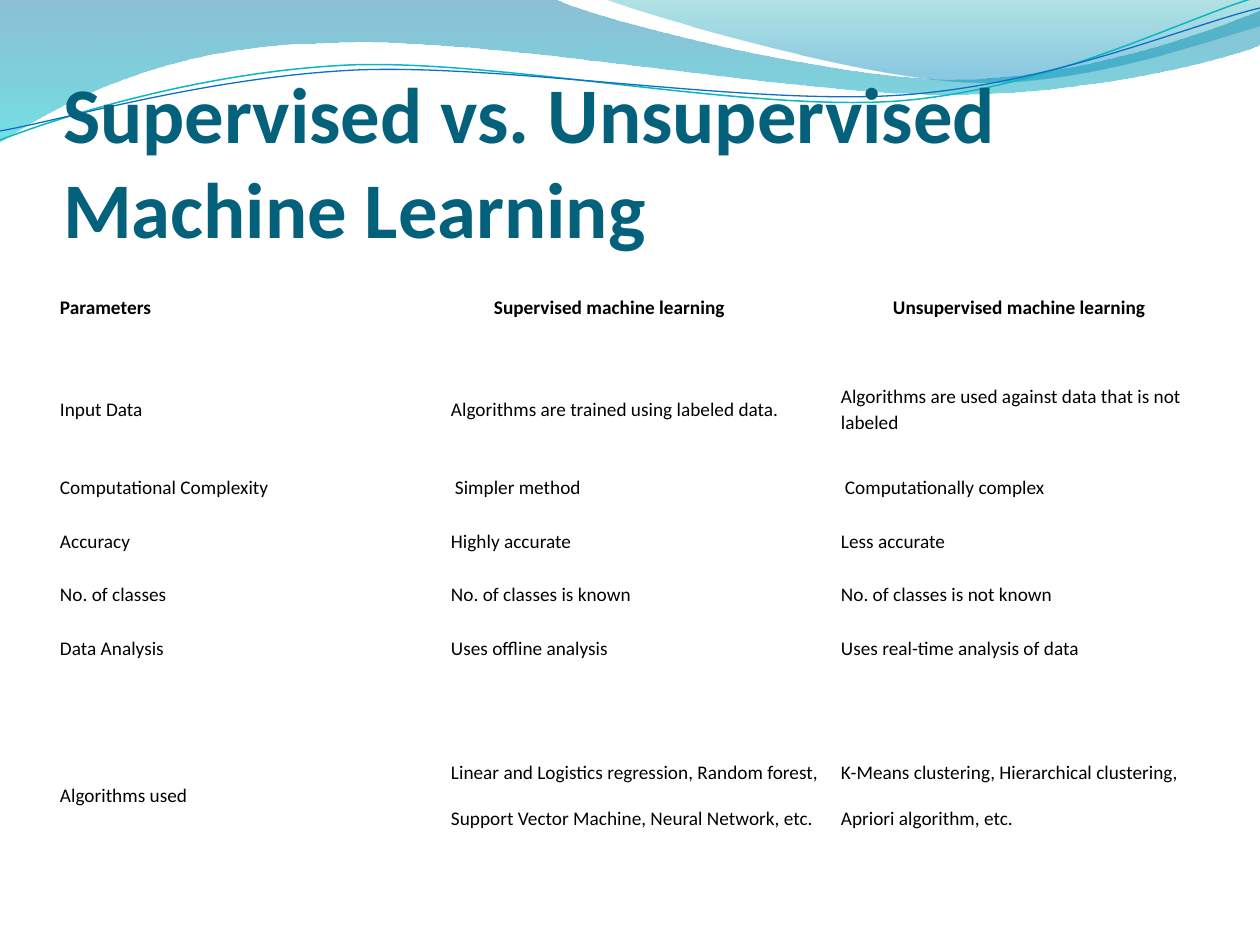
import pptx
import pptx.util
import pptx.dml.color
import pptx.enum.text
import pptx.oxml.ns
import lxml.etree

ANCHOR = pptx.enum.text.MSO_ANCHOR
WIDTH, HEIGHT = 1260, 945
qn = pptx.oxml.ns.qn


def px(n):
    return pptx.util.Emu(round(n * 914400 / 126))


def rgb(value):
    return pptx.dml.color.RGBColor.from_string(value)


class Deck:
    font = "Calibri"
    title_color = "04617B"
    text_color = "000000"

    def __init__(self):
        self.prs = pptx.Presentation()
        self.prs.slide_width, self.prs.slide_height = px(WIDTH), px(HEIGHT)
        self.s = self.prs.slides.add_slide(self.prs.slide_layouts[5])

    def run(self, p, text, size, color, bold=False):
        r = p.add_run()
        r.text = text
        r.font.name, r.font.size, r.font.bold = self.font, pptx.util.Pt(size), bold
        r.font.color.rgb = rgb(color)

    def outline(self, start, segments, close):
        fb = self.s.shapes.build_freeform(px(start[0]), px(start[1]), scale=1.0)
        fb.add_line_segments([(px(x), px(y)) for seg in segments for x, y in seg], close=close)
        sp = fb.convert_to_shape()
        sp.shadow.inherit = False
        steps = iter(list(sp.element.spPr.iter(qn("a:lnTo"))))
        for seg in segments:
            group = [next(steps) for _ in seg]
            if len(group) == 3:
                bezier = lxml.etree.Element(qn("a:cubicBezTo"))
                group[0].addprevious(bezier)
                for step in group:
                    bezier.append(step[0])
                    step.getparent().remove(step)
        return sp

    def wave(self, start, segments, stops):
        sp = self.outline(start, segments, True)
        sp.line.fill.background()
        sp.fill.gradient()
        sp.fill.gradient_angle = 270
        for stop, (position, color, _) in zip(sp.fill.gradient_stops, stops):
            stop.position = position
            stop.color.rgb = rgb(color)
        for clr, (_, _, opacity) in zip(sp.element.spPr.iter(qn("a:srgbClr")), stops):
            lxml.etree.SubElement(clr, qn("a:alpha")).set("val", str(opacity * 1000))

    def curve(self, start, segments, color, width):
        sp = self.outline(start, segments, False)
        sp.fill.background()
        sp.line.color.rgb = rgb(color)
        sp.line.width = pptx.util.Pt(width)

    def title(self, text, x, y, w, h):
        sp = self.s.shapes.title
        sp.element.getparent().append(sp.element)
        sp.left, sp.top, sp.width, sp.height = px(x), px(y), px(w), px(h)
        tf = sp.text_frame
        tf.word_wrap = True
        tf.auto_size = pptx.enum.text.MSO_AUTO_SIZE.NONE
        tf.vertical_anchor = ANCHOR.BOTTOM
        tf.margin_left = tf.margin_right = tf.margin_bottom = 0
        tf.margin_top = px(6)
        p = tf.paragraphs[0]
        p.alignment = pptx.enum.text.PP_ALIGN.LEFT
        self.run(p, text, 45, self.title_color, True)

    def table(self, rows, x, y, widths, heights, indents):
        tbl = self.s.shapes.add_table(len(rows), len(widths), px(x), px(y),
                                      px(sum(widths)), px(sum(heights))).table
        tbl.first_row = tbl.horz_banding = False
        for col, width in zip(tbl.columns, widths):
            col.width = px(width)
        for i, (row, height) in enumerate(zip(rows, heights)):
            tbl.rows[i].height = px(height)
            for j, text in enumerate(row):
                self.cell(tbl.cell(i, j), text, i == 0, indents.get((i, j), 0))

    def cell(self, cell, text, bold, indent):
        cell.fill.background()
        cell.vertical_anchor = ANCHOR.MIDDLE
        cell.margin_left = px(1 + indent)
        cell.margin_right = cell.margin_top = cell.margin_bottom = px(1)
        lines = text.split("\n")
        tf = cell.text_frame
        for k, line in enumerate(lines):
            p = tf.add_paragraph() if k else tf.paragraphs[0]
            p.line_spacing = 1.07
            p.space_after = pptx.util.Pt(12 if len(lines) > 1 else 8)
            self.run(p, line, 11, self.text_color, bold)


deck = Deck()
deck.wave((0, 0),
          [[(554, -1)],
           [(600, 21), (837, 79), (955, 79)],
           [(1075, 79), (1207, 33), (1260, 11)],
           [(1261, 45)],
           [(1238, 55), (1096, 96), (940, 94)],
           [(784, 94), (481, 35), (324, 43)],
           [(163, 45), (58, 105), (-1, 142)],
           [(0, 0)]],
          [(0, "0074A1", 45), (1, "00C6CF", 55)])
deck.wave((604, -1),
          [[(641, 14), (859, 78), (969, 82)],
           [(1079, 87), (1211, 40), (1260, 26)],
           [(1260, 0)],
           [(604, -1)]],
          [(0, "00A1A9", 30), (0.8, "008BBF", 45)])
deck.curve((0, 140),
           [[(60, 117), (199, 72), (349, 65)],
            [(498, 59), (747, 112), (898, 101)],
            [(1050, 89), (1182, 19), (1257, -3)]], "0AB8BF", 0.85)
deck.curve((0, 131),
           [[(59, 121), (207, 77), (357, 70)],
            [(508, 64), (752, 106), (903, 95)],
            [(1053, 84), (1186, 26), (1260, 8)]], "0F6FC6", 0.75)
deck.title("Supervised vs. Unsupervised Machine Learning", 63, 97, 1144, 157)

comparison = [
    ("Parameters", "Supervised machine learning", "Unsupervised machine learning"),
    ("Input Data", "Algorithms are trained using labeled data.",
     "Algorithms are used against data that is not labeled"),
    ("Computational Complexity", "Simpler method", "Computationally complex"),
    ("Accuracy", "Highly accurate", "Less accurate"),
    ("No. of classes", "No. of classes is known", "No. of classes is not known"),
    ("Data Analysis", "Uses offline analysis", "Uses real-time analysis of data"),
    ("Algorithms used",
     "Linear and Logistics regression, Random forest,\n"
     "Support Vector Machine, Neural Network, etc.",
     "K-Means clustering, Hierarchical clustering,\nApriori algorithm, etc."),
]
deck.table(comparison, 59, 256, [391, 390, 391], [102, 102, 54, 54, 53, 54, 240],
           {(0, 1): 43, (0, 2): 52, (2, 1): 4, (2, 2): 4})
deck.prs.save("out.pptx")
